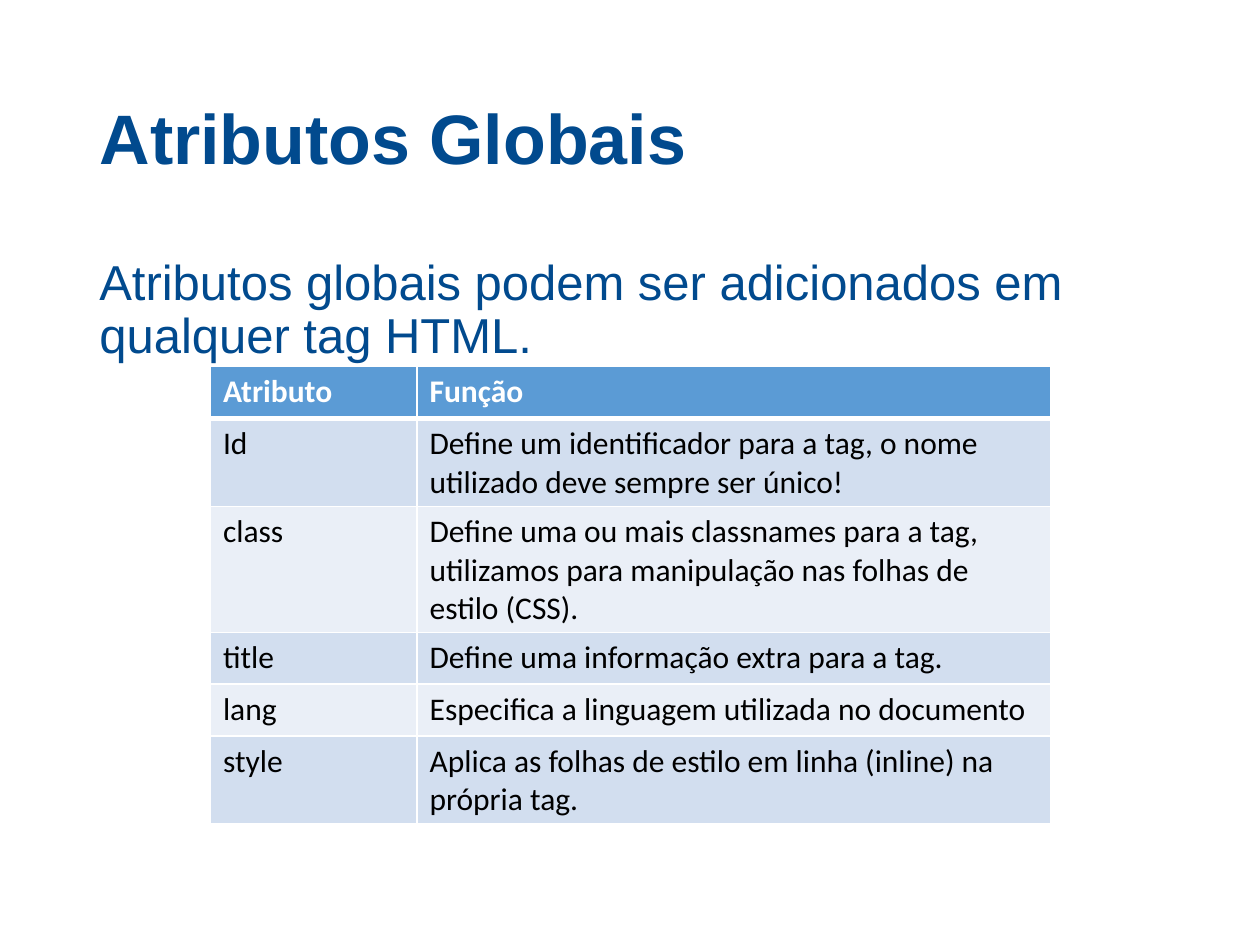
from lxml.etree import SubElement
from pptx import Presentation
from pptx.dml.color import RGBColor
from pptx.enum.text import MSO_ANCHOR, PP_ALIGN
from pptx.oxml.ns import qn
from pptx.util import Inches, Pt

NAVY, WHITE, BLACK = "014A8E", "FFFFFF", "000000"
HEADER_FILL, BAND_FILLS = "5B9BD5", ("D2DEEF", "EAEFF7")
COLUMN_WIDTHS = (1.64, 5.03)
ROW_HEIGHT = 0.41
ATTRIBUTES = [
    ("Atributo", "Função"),
    ("Id", "Define um identificador para a tag, o nome utilizado deve sempre ser único!"),
    ("class", "Define uma ou mais classnames para a tag, utilizamos para "
              "manipulação nas folhas de estilo (CSS)."),
    ("title", "Define uma informação extra para a tag."),
    ("lang", "Especifica a linguagem utilizada no documento"),
    ("style", "Aplica as folhas de estilo em linha (inline) na própria tag."),
]


def rgb(value):
    """Turn a hex string into a colour."""
    return RGBColor.from_string(value)


def add_text(frame, text, size, font, color, bold=False):
    """Write one left-aligned run and return its paragraph."""
    paragraph = frame.paragraphs[0]
    paragraph.alignment = PP_ALIGN.LEFT
    run = paragraph.add_run()
    run.text = text
    run.font.size = Pt(size)
    run.font.name = font
    run.font.bold = bold
    run.font.color.rgb = rgb(color)
    return paragraph


def add_title(slide, text):
    """Place and fill the title placeholder."""
    title = slide.shapes.title
    title.left, title.top = Inches(0.69), Inches(0.4)
    title.width, title.height = Inches(8.62), Inches(1.45)
    title.text_frame.vertical_anchor = MSO_ANCHOR.MIDDLE
    add_text(title.text_frame, text, 40, "Arial", NAVY, True).line_spacing = 0.9


def add_body(slide, text):
    """Add the introductory sentence."""
    body = slide.shapes.add_textbox(Inches(0.69), Inches(2), Inches(8.62), Inches(4.76))
    body.text_frame.word_wrap = True
    paragraph = add_text(body.text_frame, text, 28, "Arial", NAVY)
    paragraph.line_spacing = 0.9
    paragraph.space_before = Pt(10)


def set_borders(cell, widths):
    """Draw white cell borders, with widths in points by side."""
    properties = cell._tc.get_or_add_tcPr()
    for side in ("L", "R", "T", "B"):
        line = SubElement(properties, qn(f"a:ln{side}"), w=str(Pt(widths[side])))
        fill = SubElement(line, qn("a:solidFill"))
        SubElement(fill, qn("a:srgbClr"), val=WHITE)


def add_attribute_table(slide, rows):
    """Add the banded table of attributes."""
    table = slide.shapes.add_table(
        len(rows), len(COLUMN_WIDTHS), Inches(1.67), Inches(2.91),
        Inches(sum(COLUMN_WIDTHS)), Inches(ROW_HEIGHT * len(rows))).table
    for column, width in zip(table.columns, COLUMN_WIDTHS):
        column.width = Inches(width)
    for row_index, row in enumerate(rows):
        header = row_index == 0
        fill = HEADER_FILL if header else BAND_FILLS[(row_index - 1) % 2]
        borders = {"L": 1, "R": 1, "T": 3 if row_index == 1 else 1, "B": 3 if header else 1}
        for column_index, text in enumerate(row):
            cell = table.cell(row_index, column_index)
            set_borders(cell, borders)
            cell.fill.solid()
            cell.fill.fore_color.rgb = rgb(fill)
            add_text(cell.text_frame, text, 18, "Calibri", WHITE if header else BLACK, header)


def main():
    """Build and save the slide."""
    deck = Presentation()
    deck.slide_width, deck.slide_height = Inches(10), Inches(7.5)
    slide = deck.slides.add_slide(deck.slide_layouts[5])
    slide.background.fill.solid()
    slide.background.fill.fore_color.rgb = rgb(WHITE)
    add_title(slide, "Atributos Globais")
    add_body(slide, "Atributos globais podem ser adicionados em qualquer tag HTML.")
    add_attribute_table(slide, ATTRIBUTES)
    deck.save("out.pptx")


main()
